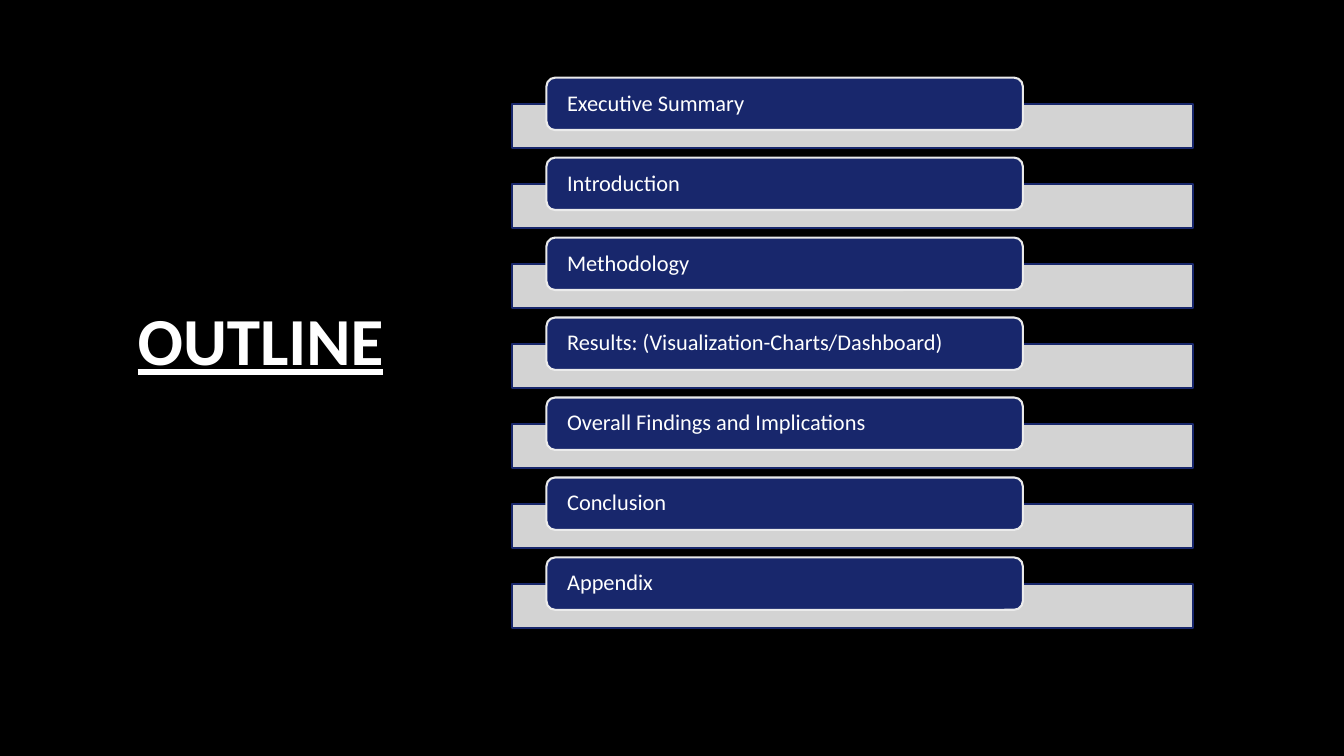
from lxml import etree
from pptx import Presentation
from pptx.dml.color import RGBColor
from pptx.enum.shapes import MSO_SHAPE
from pptx.enum.text import MSO_ANCHOR, PP_ALIGN
from pptx.oxml.ns import qn
from pptx.util import Inches, Pt

RECT = MSO_SHAPE.RECTANGLE
ROUND = MSO_SHAPE.ROUNDED_RECTANGLE
MIDDLE = MSO_ANCHOR.MIDDLE
LEFT = PP_ALIGN.LEFT
CENTER = PP_ALIGN.CENTER

BLACK = RGBColor(0x00, 0x00, 0x00)
WHITE = RGBColor(0xFF, 0xFF, 0xFF)
NAVY = RGBColor(0x18, 0x27, 0x6C)
GREY = RGBColor(0xEB, 0xEB, 0xEB)

TOPICS = [
    "Executive Summary",
    "Introduction",
    "Methodology",
    "Results: (Visualization-Charts/Dashboard)",
    "Overall Findings and Implications",
    "Conclusion",
    "Appendix",
]


def write(shape, text, size, align=LEFT, bold=False, line=False, inset=0.1, space=1.0):
    """Put one formatted paragraph into a shape."""
    frame = shape.text_frame
    frame.word_wrap = True
    frame.vertical_anchor = MIDDLE
    frame.margin_left = frame.margin_right = Inches(inset)
    frame.margin_top = frame.margin_bottom = 0
    para = frame.paragraphs[0]
    para.alignment = align
    para.line_spacing = space
    run = para.add_run()
    run.text = text
    font = run.font
    font.name = "Calibri"
    font.size = Pt(size)
    font.bold = bold
    font.underline = line
    font.color.rgb = WHITE


def panel(slide, kind, box, fill, edge):
    """Add a filled and outlined shape without a shadow."""
    shape = slide.shapes.add_shape(kind, *map(Inches, box))
    shape.shadow.inherit = False
    shape.fill.solid()
    shape.fill.fore_color.rgb = fill
    shape.line.color.rgb = edge
    shape.line.width = Pt(1.5)
    return shape


def fade(shape, percent):
    """Set the opacity of a solid fill."""
    color = shape.fill._xPr.find(qn("a:solidFill"))[0]
    etree.SubElement(color, qn("a:alpha")).set("val", str(percent * 1000))


def heading(slide, box):
    """Add the slide title."""
    title = slide.shapes.add_textbox(*map(Inches, box))
    write(title, "OUTLINE", 48, align=CENTER, bold=True, line=True, space=0.9)


def topic(slide, box, text):
    """Add one bar with its label overlapping the top."""
    left, top, width, height = box
    bar = panel(slide, RECT, (left, top + 0.26, width, height - 0.26), GREY, NAVY)
    fade(bar, 90)
    label = panel(slide, ROUND, (left + 0.34, top, width * 0.7, 0.52), NAVY, GREY)
    write(label, text, 16, inset=0.18, space=0.9)


def agenda(slide, box, names):
    """Spread the topics evenly down the box."""
    left, top, width, height = box
    row = 0.7
    step = (height - row) / (len(names) - 1)
    for index, name in enumerate(names):
        topic(slide, (left, top + index * step, width, row), name)


def main():
    """Build and save the outline slide."""
    deck = Presentation()
    deck.slide_width = Inches(13.33)
    deck.slide_height = Inches(7.5)
    slide = deck.slides.add_slide(deck.slide_layouts[6])
    slide.background.fill.solid()
    slide.background.fill.fore_color.rgb = BLACK
    heading(slide, (0.82, 2.66, 3.53, 1.5))
    agenda(slide, (5.08, 0.77, 6.75, 5.46), TOPICS)
    deck.save("out.pptx")


if __name__ == "__main__":
    main()
